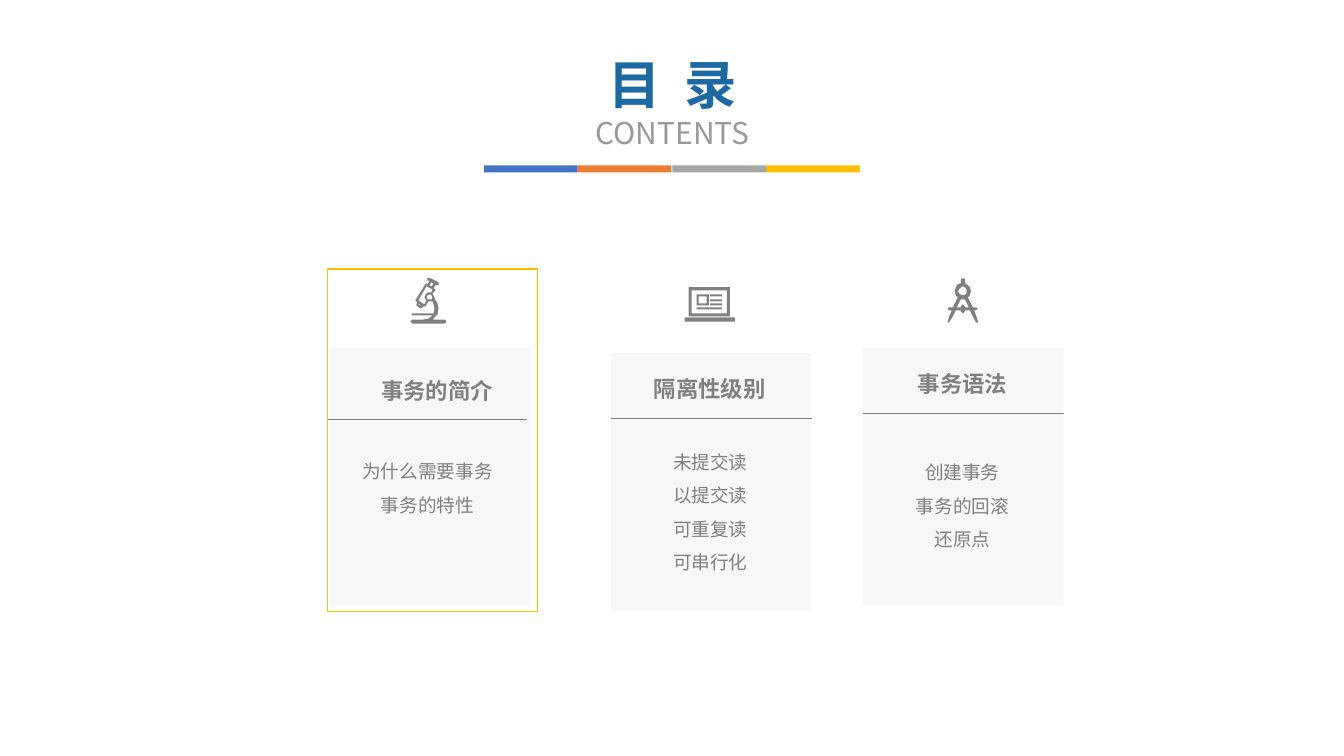
from lxml import etree
from pptx import Presentation
from pptx.dml.color import RGBColor
from pptx.enum.shapes import MSO_CONNECTOR, MSO_SHAPE
from pptx.enum.text import MSO_ANCHOR, PP_ALIGN
from pptx.oxml.ns import qn
from pptx.util import Emu, Pt

PX = 9144  # one hundredth of an inch
FONT = "Noto Sans CJK SC"
COLORS = {"blue": "4472C4", "orange": "ED7D31", "silver": "A5A5A5", "yellow": "FFC000",
          "title": "1D69A3", "subtitle": "999999", "text": "808080", "panel": "D9D9D9"}
FORMATS = {
    "title": {"size": Pt(37.4), "bold": True, "color": "title"},
    "subtitle": {"size": Pt(21.4), "bold": False, "color": "subtitle"},
    "heading": {"size": Pt(16), "bold": True, "color": "text"},
    "body": {"size": Pt(13.3), "bold": False, "color": "text"},
}


def box(left, top, right, bottom):
    """Corner points of a rectangular contour."""
    return [(left, top), (right, top), (right, bottom), (left, bottom)]


# Each icon is a list of contours; nested contours cut holes.
MICROSCOPE = [
    [(431, 296), (434, 301), (435, 306), (434, 312), (430, 316), (430, 317), (441, 317),
     (443, 319), (441, 321), (409, 321), (407, 319), (409, 317), (420, 317), (425, 316),
     (429, 313), (409, 313), (408, 312), (409, 311), (430, 311), (431, 306), (430, 302),
     (429, 299), (425, 299), (422, 304), (420, 304), (419, 305), (417, 306), (413, 303),
     (413, 302), (414, 300), (412, 298), (422, 282), (423, 281), (424, 282), (426, 279),
     (424, 278), (424, 276), (427, 276), (435, 280), (435, 283), (432, 283), (430, 286),
     (432, 287), (432, 288), (429, 291), (431, 295)],
    [(430, 282), (428, 280), (426, 283), (428, 284)],
    [(428, 290), (429, 287), (423, 284), (415, 298), (421, 302), (423, 298), (421, 295),
     (423, 291), (425, 290)],
    [(428, 293), (426, 292), (424, 293), (423, 295), (424, 297), (426, 297), (428, 297),
     (429, 295)],
    [(415, 301), (415, 302), (417, 303), (418, 303)],
]
LAPTOP = [
    box(683, 285, 724, 314), box(686, 288, 721, 311),
    box(691, 292, 703, 303), box(693, 294, 701, 301),
    *(box(704, top, 716, top + 2) for top in (292, 297, 301)),
    box(691, 305, 716, 307), box(679, 315, 729, 319),
]
COMPASS = [
    [(941, 308), (940, 306), (941, 305), (945, 305), (950, 295), (948, 293), (947, 289),
     (948, 285), (950, 282), (953, 281), (953, 277), (955, 276), (957, 277), (957, 281),
     (960, 283), (962, 285), (963, 289), (962, 293), (960, 295), (965, 305), (968, 305),
     (970, 306), (968, 308), (966, 308), (969, 315), (970, 320), (968, 320), (966, 316),
     (962, 308), (957, 308), (957, 309), (955, 311), (953, 309), (953, 308), (948, 308),
     (944, 316), (941, 320), (940, 320), (941, 315), (944, 308)],
    [(953, 305), (953, 304), (955, 302), (957, 304), (957, 305), (961, 305), (957, 297),
     (953, 297), (949, 305)],
    [(958, 286), (955, 284), (952, 286), (950, 289), (952, 292), (955, 293), (958, 292),
     (959, 289)],
]


class Deck:
    def __init__(self, width, height):
        self.presentation = Presentation()
        self.presentation.slide_width = Emu(width * PX)
        self.presentation.slide_height = Emu(height * PX)
        self.slide = self.presentation.slides.add_slide(self.presentation.slide_layouts[6])
        self.shapes = self.slide.shapes

    def paint(self, shape, fill=None, line=None):
        shape.shadow.inherit = False
        if fill:
            shape.fill.solid()
            shape.fill.fore_color.rgb = RGBColor.from_string(COLORS[fill])
        else:
            shape.fill.background()
        if line:
            shape.line.color.rgb = RGBColor.from_string(COLORS[line])
            shape.line.width = Pt(1)
        else:
            shape.line.fill.background()

    def rect(self, area, fill=None, line=None, opacity=None):
        shape = self.shapes.add_shape(MSO_SHAPE.RECTANGLE, *(Emu(v * PX) for v in area))
        self.paint(shape, fill, line)
        if opacity:
            color = shape._element.spPr.find(qn("a:solidFill"))[0]
            etree.SubElement(color, qn("a:alpha")).set("val", str(opacity * 1000))

    def rule(self, left, top, width):
        ends = (Emu(v * PX) for v in (left, top, left + width, top))
        line = self.shapes.add_connector(MSO_CONNECTOR.STRAIGHT, *ends)
        line.line.color.rgb = RGBColor.from_string(COLORS["text"])
        line.line.width = Pt(0.5)
        etree.SubElement(line._element.spPr, qn("a:effectLst"))

    def icon(self, contours):
        first, *others = contours
        builder = self.shapes.build_freeform(*first[0], scale=PX)
        builder.add_line_segments(first[1:], close=True)
        for contour in others:
            builder.move_to(*contour[0])
            builder.add_line_segments(contour[1:], close=True)
        self.paint(builder.convert_to_shape(), "text")

    def text(self, area, lines, spacing=None, wrap=True):
        """Add centred lines, each a pair of wording and format name."""
        frame = self.shapes.add_textbox(*(Emu(v * PX) for v in area)).text_frame
        frame.word_wrap = wrap
        frame.vertical_anchor = MSO_ANCHOR.MIDDLE
        for index, (wording, style) in enumerate(lines):
            paragraph = frame.add_paragraph() if index else frame.paragraphs[0]
            paragraph.alignment = PP_ALIGN.CENTER
            paragraph.line_spacing = spacing
            run = paragraph.add_run()
            run.text = wording
            run.font.name = FONT
            for key, value in FORMATS[style].items():
                if key == "color":
                    run.font.color.rgb = RGBColor.from_string(COLORS[value])
                else:
                    setattr(run.font, key, value)
            etree.SubElement(run.font._element, qn("a:ea")).set("typeface", FONT)

    def save(self):
        self.presentation.save("out.pptx")


# Panel corner, rule corner, heading area, body area, icon, heading, topics
CARDS = [
    ((327, 345), (324, 416), (344, 369, 179, 37), (349, 423, 150, 111), MICROSCOPE,
     "事务的简介", ["为什么需要事务", "事务的特性"]),
    ((606, 350), (606, 415), (638, 367, 132, 37), (627, 430, 155, 145), LAPTOP,
     "隔离性级别", ["未提交读", "以提交读", "可重复读", "可串行化"]),
    ((856, 345), (856, 410), (900, 362, 109, 37), (877, 441, 155, 111), COMPASS,
     "事务语法", ["创建事务", "事务的回滚", "还原点"]),
]
CARD_WIDTH, CARD_HEIGHT = 199, 256


def main():
    deck = Deck(1333, 750)
    for index, color in enumerate(("blue", "orange", "silver", "yellow")):
        deck.rect((480 + round(index * 93.3), 164, 93, 7), color)
    deck.text((559, 46, 216, 109), [("目  录", "title"), ("CONTENTS", "subtitle")])
    for panel, rule, heading_area, body_area, icon, heading, topics in CARDS:
        deck.rect((*panel, CARD_WIDTH, CARD_HEIGHT), "panel", opacity=20)
        deck.rule(*rule, CARD_WIDTH)
        deck.icon(icon)
        deck.text(heading_area, [(heading, "heading")], wrap=False)
        deck.text(body_area, [(topic, "body") for topic in topics], spacing=1.5)
    deck.rect((325, 267, 208, 340), line="yellow")
    deck.save()


if __name__ == "__main__":
    main()
